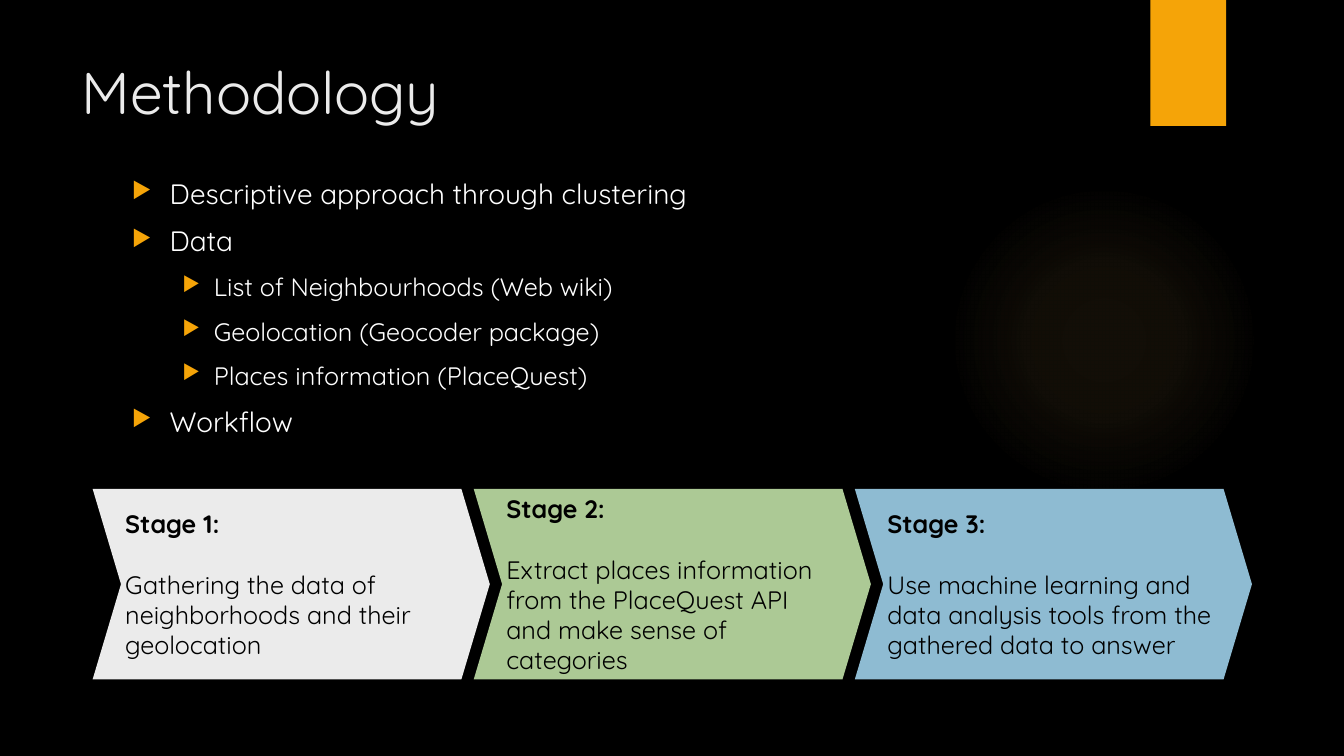
from lxml.etree import SubElement
from pptx import Presentation
from pptx.dml.color import RGBColor
from pptx.enum.shapes import MSO_SHAPE
from pptx.enum.text import MSO_ANCHOR, PP_ALIGN
from pptx.oxml import parse_xml
from pptx.oxml.ns import nsdecls, qn
from pptx.util import Pt

FONT = "Quicksand"
ACCENT = "F5A408"
GLOW = "FAC96A"
GLOW_STOPS = [(0, 7), (36, 6), (69, 0)]
LEVELS = [(20, 27, 27), (18, 58.5, 22.5)]
TOPICS = [
    (0, "Descriptive approach through clustering"),
    (0, "Data"),
    (1, "List of Neighbourhoods (Web wiki)"),
    (1, "Geolocation (Geocoder package)"),
    (1, "Places information (PlaceQuest)"),
    (0, "Workflow"),
]
STAGES = [
    ("EBEBEB", "Gathering the data of neighborhoods and their geolocation"),
    ("ACC995", "Extract places information from the PlaceQuest API "
               "and make sense of categories"),
    ("8EBBD2", "Use machine learning and data analysis tools from the "
               "gathered data to answer"),
]
STAGE_LEFT, STAGE_STEP = 66.2, 272.2


def color(hex_code):
    """Return the colour for a hex string."""
    return RGBColor.from_string(hex_code)


def style(paragraph, size, hex_code, bold=False):
    """Set the font of every run in a paragraph."""
    for run in paragraph.runs:
        run.font.name = FONT
        run.font.size = Pt(size)
        run.font.bold = bold
        run.font.color.rgb = color(hex_code)


def add_block(slide, preset, left, top, width, height, fill):
    """Add a flat preset shape without outline."""
    block = slide.shapes.add_shape(
        preset, Pt(left), Pt(top), Pt(width), Pt(height))
    block.shadow.inherit = False
    block.line.fill.background()
    block.fill.solid()
    block.fill.fore_color.rgb = color(fill)
    return block


def add_glow(slide):
    """Add the faint radial glow behind the content."""
    glow = add_block(slide, MSO_SHAPE.OVAL, 677.5, 131.8, 221.8, 221.8, GLOW)
    stops = "".join(
        f'<a:gs pos="{position * 1000}"><a:srgbClr val="{GLOW}">'
        f'<a:alpha val="{opacity * 1000}"/></a:srgbClr></a:gs>'
        for position, opacity in GLOW_STOPS)
    gradient = parse_xml(
        f'<a:gradFill {nsdecls("a")}><a:gsLst>{stops}</a:gsLst>'
        '<a:path path="circle"><a:fillToRect l="50000" t="50000" '
        'r="50000" b="50000"/></a:path></a:gradFill>')
    properties = glow.element.spPr
    properties.replace(properties.find(qn("a:solidFill")), gradient)


def add_text(slide, left, top, width, height):
    """Add a wrapping text box and return its text frame."""
    frame = slide.shapes.add_textbox(
        Pt(left), Pt(top), Pt(width), Pt(height)).text_frame
    frame.word_wrap = True
    return frame


def add_bullet(paragraph, margin, hanging):
    """Give a paragraph a hanging triangle bullet."""
    properties = paragraph._p.get_or_add_pPr()
    properties.set("marL", str(Pt(margin)))
    properties.set("indent", str(-Pt(hanging)))
    bullet_color = SubElement(properties, qn("a:buClr"))
    SubElement(bullet_color, qn("a:srgbClr"), val=ACCENT)
    SubElement(properties, qn("a:buSzPct"), val="80000")
    SubElement(properties, qn("a:buChar"), char="▶")


def add_topics(slide):
    """Add the two-level list of topics."""
    frame = add_text(slide, 87.1, 122.4, 704.2, 220)
    for index, (level, topic) in enumerate(TOPICS):
        paragraph = frame.add_paragraph() if index else frame.paragraphs[0]
        size, margin, hanging = LEVELS[level]
        paragraph.text = topic
        paragraph.level = level
        add_bullet(paragraph, margin, hanging)
        paragraph.space_before = Pt(10 if index else 0)
        style(paragraph, size, "FFFFFF")


def add_stage(slide, index, fill, task):
    """Add one chevron of the workflow."""
    stage = add_block(slide, MSO_SHAPE.CHEVRON,
                      STAGE_LEFT + index * STAGE_STEP, 349.2, 283.7, 136.1, fill)
    stage.adjustments[0] = 0.149
    frame = stage.text_frame
    frame.word_wrap = True
    frame.vertical_anchor = MSO_ANCHOR.MIDDLE
    frame.margin_left = frame.margin_right = Pt(3)
    frame.text = f"Stage {index + 1}:\n{task}"
    heading, description = frame.paragraphs
    heading.alignment = description.alignment = PP_ALIGN.LEFT
    description.space_before = Pt(21.6)
    style(heading, 18, "000000", bold=True)
    style(description, 18, "000000")


def main():
    """Build the methodology slide."""
    deck = Presentation()
    deck.slide_width, deck.slide_height = Pt(960), Pt(540)
    slide = deck.slides.add_slide(deck.slide_layouts[6])
    slide.background.fill.solid()
    slide.background.fill.fore_color.rgb = color("000000")
    add_glow(slide)
    add_block(slide, MSO_SHAPE.RECTANGLE, 821.8, 0, 54, 90, ACCENT)
    title = add_text(slide, 51.1, 36, 740.9, 70)
    title.text = "Methodology"
    style(title.paragraphs[0], 42, "EBEBEB")
    add_topics(slide)
    for index, (fill, task) in enumerate(STAGES):
        add_stage(slide, index, fill, task)
    deck.save("out.pptx")


if __name__ == "__main__":
    main()
